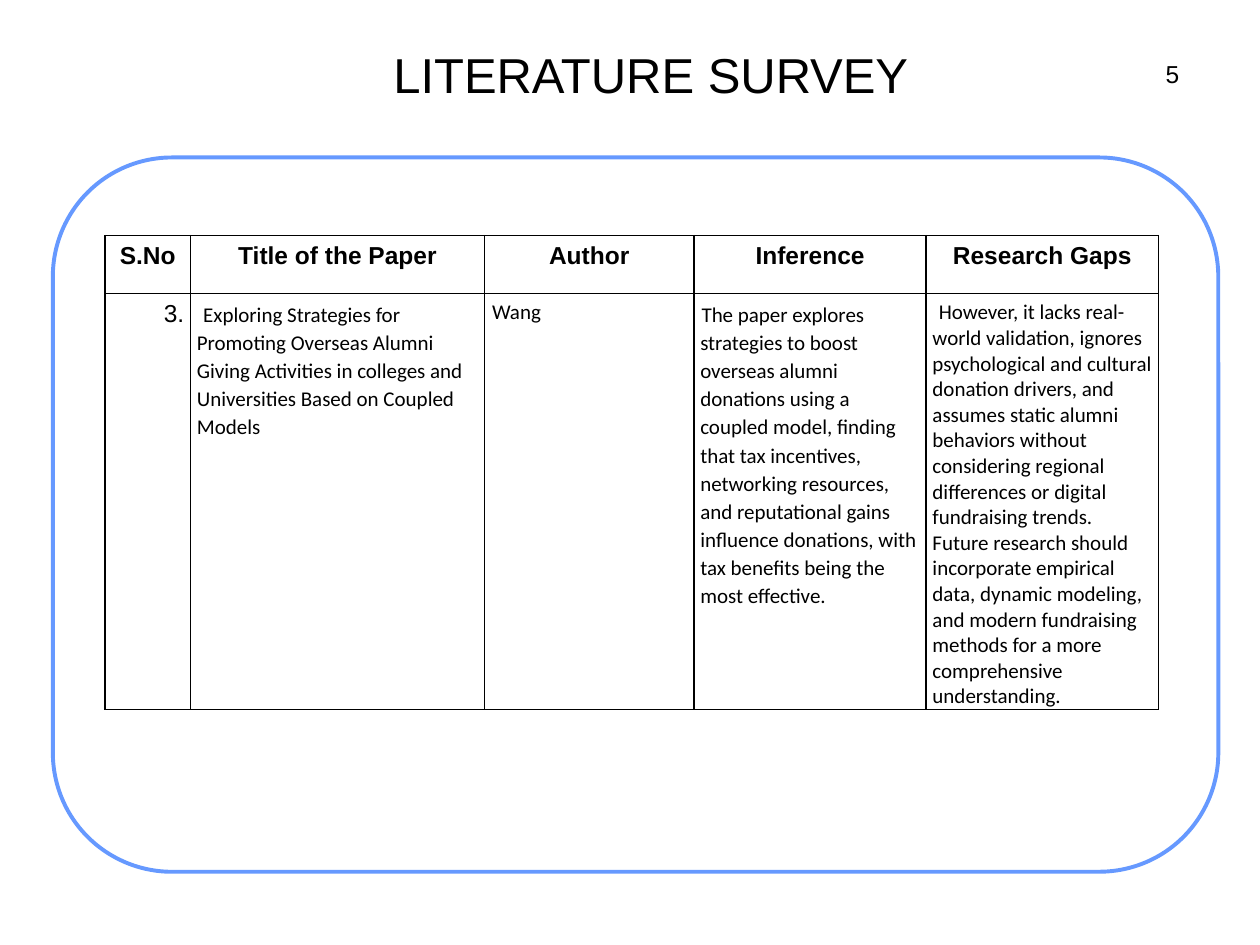
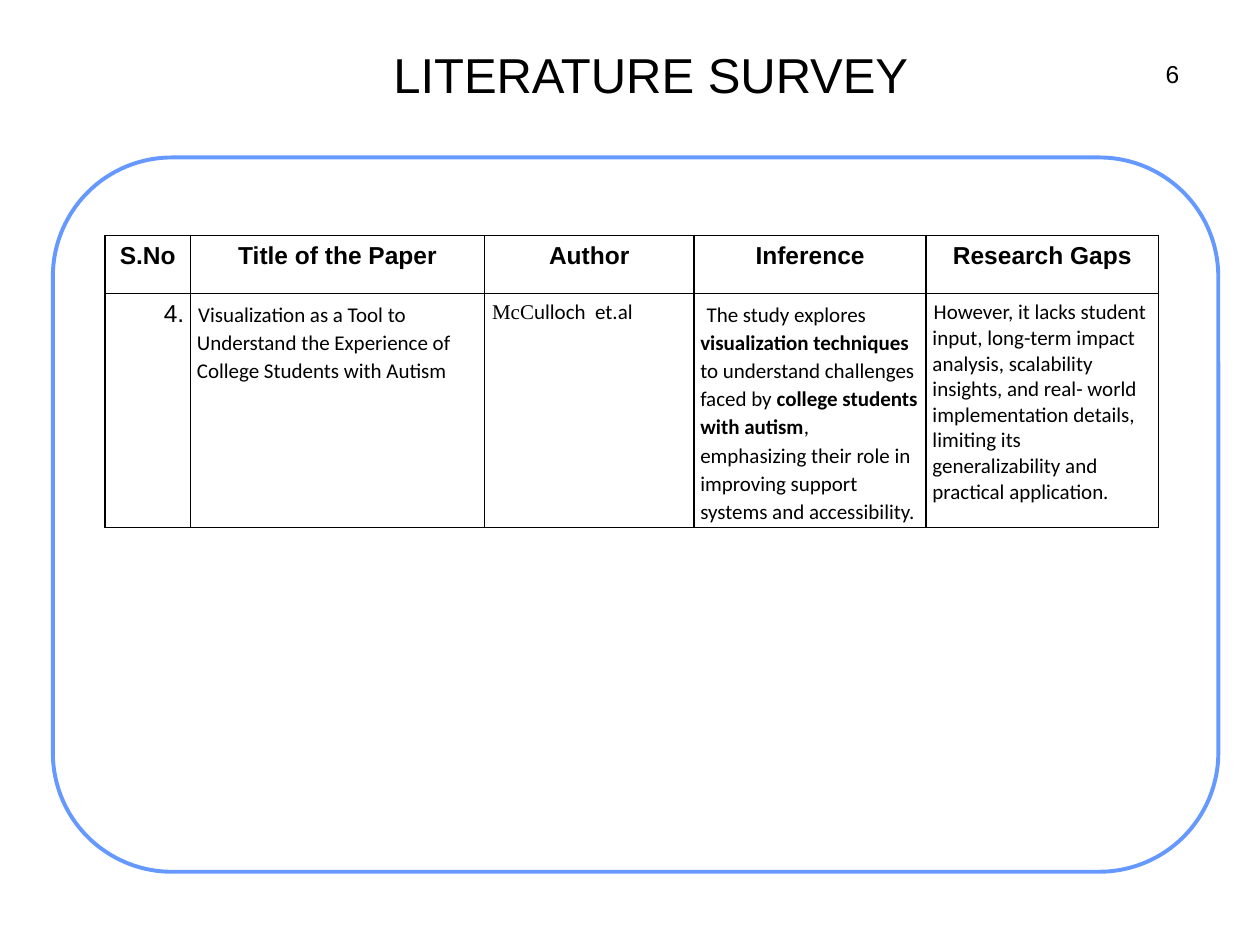
from lxml import etree
from pptx import Presentation
from pptx.dml.color import RGBColor
from pptx.enum.shapes import MSO_SHAPE
from pptx.enum.text import MSO_ANCHOR, PP_ALIGN
from pptx.oxml.ns import qn
from pptx.util import Pt

LEFT, CENTER, RIGHT = PP_ALIGN.LEFT, PP_ALIGN.CENTER, PP_ALIGN.RIGHT
TOP, MIDDLE = MSO_ANCHOR.TOP, MSO_ANCHOR.MIDDLE
ROUNDED_RECTANGLE = MSO_SHAPE.ROUNDED_RECTANGLE

BLACK, WHITE, BLUE = "000000", "FFFFFF", "6699FF"
HEADING_FONT, BODY_FONT, SERIF_FONT = "Arial", "Calibri", "Times New Roman"
INSET = 3.6
SMALL_INDENT, WIDE_INDENT = 0.72, 3.6
LOOSE = 1.1
COLUMN_WIDTHS = [48.9, 168, 119.7, 132.7, 132.7]
HEADER_HEIGHT = 33.2
HEADERS = ["S.No", "Title of the Paper", "Author", "Inference", "Research Gaps"]


def color(value):
    return RGBColor.from_string(value)


def body(text, bold=False, font=BODY_FONT):
    return text, font, 12, bold


def heading(text, size=14, bold=False):
    return text, HEADING_FONT, size, bold


class SurveyDeck:
    def __init__(self):
        self.presentation = Presentation()
        self.presentation.slide_width = Pt(720)
        self.presentation.slide_height = Pt(540)
        self.slide = None

    def add_slide(self, page_number):
        self.slide = self.presentation.slides.add_slide(self.presentation.slide_layouts[6])
        self.frame(30.2, 90, 666, 408.2)
        self.text(661.7, 30.2, 15.8, 23, heading(page_number), RIGHT, TOP, False)
        self.text(102.2, 23, 539.3, 38.2, heading("LITERATURE SURVEY", 28), CENTER, MIDDLE)

    def frame(self, left, top, width, height):
        shape = self.slide.shapes.add_shape(
            ROUNDED_RECTANGLE, Pt(left), Pt(top), Pt(width), Pt(height))
        shape.shadow.inherit = False
        shape.fill.solid()
        shape.fill.fore_color.rgb = color(WHITE)
        shape.line.color.rgb = color(BLUE)
        shape.line.width = Pt(2.25)

    def fill_paragraph(self, paragraph, runs, alignment=LEFT, indent=0, spacing=1.0):
        paragraph.alignment = alignment
        paragraph.line_spacing = spacing
        if indent:
            paragraph._p.get_or_add_pPr().set("indent", str(Pt(indent)))
        for text, font, size, bold in runs:
            run = paragraph.add_run()
            run.text = text
            run.font.name = font
            run.font.size = Pt(size)
            run.font.bold = bold
            run.font.color.rgb = color(BLACK)

    def inset(self, holder):
        holder.margin_left = holder.margin_right = Pt(INSET)
        holder.margin_top = holder.margin_bottom = Pt(INSET)

    def text(self, left, top, width, height, run, alignment, anchor, wrap=True):
        box = self.slide.shapes.add_textbox(Pt(left), Pt(top), Pt(width), Pt(height))
        frame = box.text_frame
        frame.word_wrap = wrap
        frame.vertical_anchor = anchor
        self.inset(frame)
        self.fill_paragraph(frame.paragraphs[0], [run], alignment)

    def borders(self, cell):
        properties = cell._tc.get_or_add_tcPr()
        for position, side in enumerate(("a:lnL", "a:lnR", "a:lnT", "a:lnB")):
            line = etree.Element(qn(side), w=str(Pt(1)))
            fill = etree.SubElement(line, qn("a:solidFill"))
            etree.SubElement(fill, qn("a:srgbClr"), val=BLACK)
            properties.insert(position, line)

    def table(self, number, row_height, entries):
        rows = [
            [([heading(label, bold=True)], CENTER) for label in HEADERS],
            [([heading(number)], RIGHT)]
            + [(runs, LEFT, indent, spacing) for runs, indent, spacing in entries],
        ]
        table = self.slide.shapes.add_table(
            len(rows), len(HEADERS), Pt(60), Pt(134.6),
            Pt(sum(COLUMN_WIDTHS)), Pt(HEADER_HEIGHT + row_height)).table
        table.first_row = table.horz_banding = False
        for column, width in zip(table.columns, COLUMN_WIDTHS):
            column.width = Pt(width)
        for row, height, contents in zip(table.rows, (HEADER_HEIGHT, row_height), rows):
            row.height = Pt(height)
            for cell, content in zip(row.cells, contents):
                self.inset(cell)
                cell.fill.background()
                self.borders(cell)
                self.fill_paragraph(cell.text_frame.paragraphs[0], *content)


SURVEYS = [
    ("5", "3.", 237.6, [
        ([body("Exploring Strategies for Promoting Overseas Alumni Giving Activities in "
               "colleges and Universities Based on Coupled Models")], WIDE_INDENT, LOOSE),
        ([body("Wang")], SMALL_INDENT, 1.0),
        ([body("The paper explores strategies to boost overseas alumni donations using a "
               "coupled model, finding that tax incentives, networking resources, and "
               "reputational gains influence donations, with tax benefits being the most "
               "effective.")], SMALL_INDENT, LOOSE),
        ([body("However, it lacks real-world validation, ignores psychological and cultural "
               "donation drivers, and assumes static alumni behaviors without considering "
               "regional differences or digital fundraising trends. Future research should "
               "incorporate empirical data, dynamic modeling, and modern fundraising methods "
               "for a more comprehensive understanding.")], WIDE_INDENT, 1.0),
    ]),
    ("6", "4.", 133.6, [
        ([body("Visualization as a Tool to Understand the Experience of College Students "
               "with Autism")], SMALL_INDENT, LOOSE),
        ([body("McC", font=SERIF_FONT), body("ulloch  et.al")], SMALL_INDENT, 1.0),
        ([body("The study explores "),
          body("visualization techniques ", True),
          body("to understand challenges faced by "),
          body("college students with autism", True),
          body(", emphasizing their role in improving support systems and accessibility.")],
         WIDE_INDENT, LOOSE),
        ([body("However, it lacks student input, long-term impact analysis, scalability "
               "insights, and real- world implementation details, limiting its "
               "generalizability and practical application.")], SMALL_INDENT, 1.0),
    ]),
]


def main():
    deck = SurveyDeck()
    for page_number, number, row_height, entries in SURVEYS:
        deck.add_slide(page_number)
        deck.table(number, row_height, entries)
    deck.presentation.save("out.pptx")


if __name__ == "__main__":
    main()
